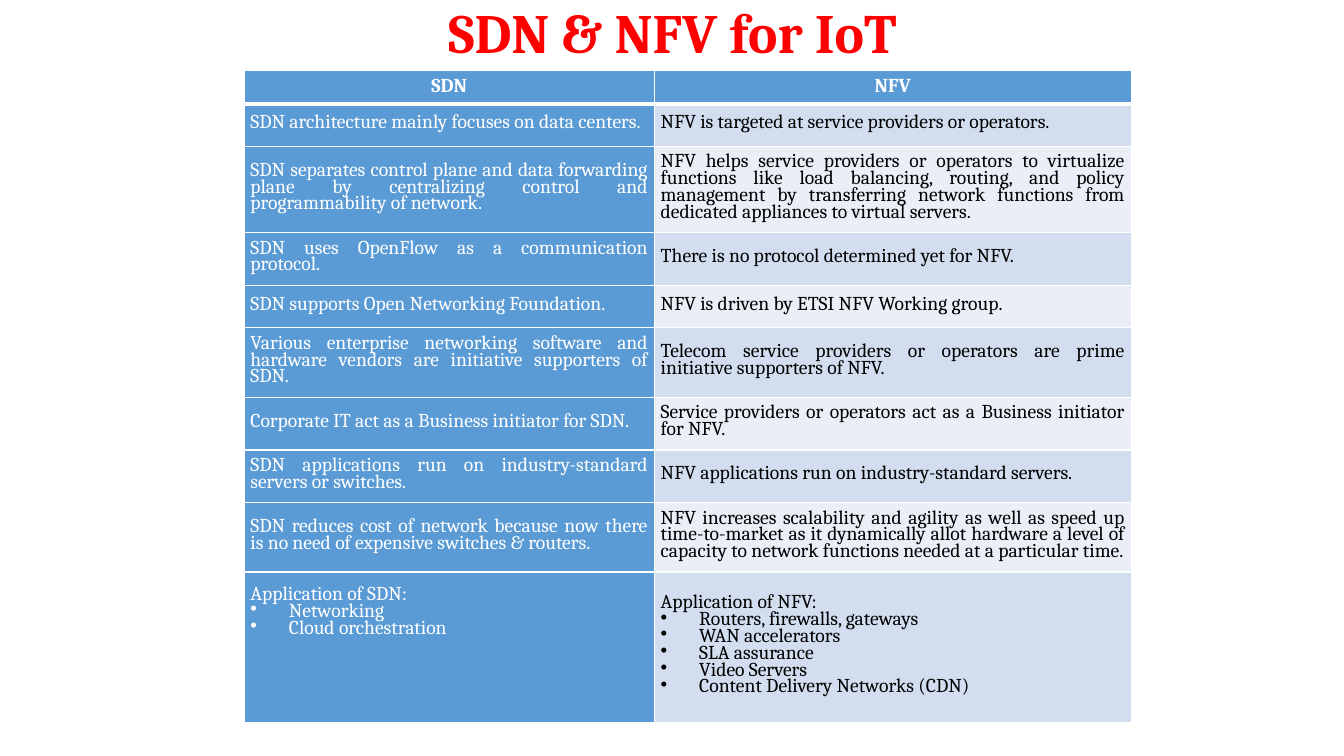
from lxml.etree import SubElement
from pptx import Presentation
from pptx.dml.color import RGBColor
from pptx.enum.text import MSO_ANCHOR as Anchor, PP_ALIGN as Align
from pptx.oxml.ns import qn
from pptx.util import Cm, Pt

TITLE = "SDN & NFV for IoT"
HEADER = ("SDN", "NFV")
# Row height in cm, then the two statements
COMPARISON = [
    (1.07, "SDN architecture mainly focuses on data centers.",
     "NFV is targeted at service providers or operators."),
    (2.14, "SDN separates control plane and data forwarding plane by centralizing "
     "control and programmability of network.",
     "NFV helps service providers or operators to virtualize functions like load "
     "balancing, routing, and policy management by transferring network functions "
     "from dedicated appliances to virtual servers."),
    (1.31, "SDN uses OpenFlow as a communication protocol.",
     "There is no protocol determined yet for NFV."),
    (1.07, "SDN supports Open Networking Foundation.",
     "NFV is driven by ETSI NFV Working group."),
    (1.73, "Various enterprise networking software and hardware vendors are "
     "initiative supporters of SDN.",
     "Telecom service providers or operators are prime initiative supporters of NFV."),
    (1.31, "Corporate IT act as a Business initiator for SDN.",
     "Service providers or operators act as a Business initiator for NFV."),
    (1.31, "SDN applications run on industry-standard servers or switches.",
     "NFV applications run on industry-standard servers."),
    (1.73, "SDN reduces cost of network because now there is no need of expensive "
     "switches & routers.",
     "NFV increases scalability and agility as well as speed up time-to-market as it "
     "dynamically allot hardware a level of capacity to network functions needed at "
     "a particular time."),
]
APPLICATIONS = [
    ("Application of SDN:", ["Networking", "Cloud orchestration"]),
    ("Application of NFV:", ["Routers, firewalls, gateways", "WAN accelerators",
                             "SLA assurance", "Video Servers",
                             "Content Delivery Networks (CDN)"]),
]
HEADER_HEIGHT, APPLICATIONS_HEIGHT = 0.84, 3.8
COLUMN_WIDTHS = (10.34, 12.02)

FONT = "Cambria"
RED = RGBColor(0xFF, 0x00, 0x00)
WHITE = RGBColor(0xFF, 0xFF, 0xFF)
BLACK = RGBColor(0x00, 0x00, 0x00)
BLUE = RGBColor(0x5B, 0x9B, 0xD5)
BANDS = (RGBColor(0xD2, 0xDE, 0xEF), RGBColor(0xEA, 0xEF, 0xF7))


def write(para, text, color, size=14, bold=False, align=None, spacing=Pt(12)):
    para.alignment = align
    para.line_spacing = spacing
    span = para.add_run()
    span.text = text
    font = span.font
    font.name, font.size, font.bold = FONT, Pt(size), bold
    font.color.rgb = color


def add_bullet(para):
    props = para._p.get_or_add_pPr()
    props.set("marL", str(Cm(0.97)))
    props.set("indent", str(-Cm(0.97)))
    SubElement(props, qn("a:buChar"), char="•")
    tabs = SubElement(props, qn("a:tabLst"))
    SubElement(tabs, qn("a:tab"), pos=str(Cm(1.27)), algn="l")


def style_cell(cell, fill, top=1, bottom=1, side=0.16, vertical=0.24,
               anchor=Anchor.MIDDLE):
    """Set white borders (widths in points), fill, margins (cm) and anchor."""
    props = cell._tc.get_or_add_tcPr()
    for edge, width in (("L", 1), ("R", 1), ("T", top), ("B", bottom)):
        line = SubElement(props, qn(f"a:ln{edge}"), w=str(Pt(width)))
        paint = SubElement(line, qn("a:solidFill"))
        SubElement(paint, qn("a:srgbClr"), val=str(WHITE))
    cell.fill.solid()
    cell.fill.fore_color.rgb = fill
    cell.margin_left = cell.margin_right = Cm(side)
    cell.margin_top = cell.margin_bottom = Cm(vertical)
    cell.vertical_anchor = anchor


def main():
    deck = Presentation()
    deck.slide_width, deck.slide_height = Cm(33.87), Cm(19.05)
    page = deck.slides.add_slide(deck.slide_layouts[6])

    box = page.shapes.add_textbox(Cm(2.84), Cm(0), Cm(28.22), Cm(1.78))
    frame = box.text_frame
    frame.word_wrap = True
    frame.vertical_anchor = Anchor.MIDDLE
    write(frame.paragraphs[0], TITLE, RED, size=39.6, bold=True,
          align=Align.CENTER, spacing=0.9)

    heights = [HEADER_HEIGHT, *(row[0] for row in COMPARISON), APPLICATIONS_HEIGHT]
    table = page.shapes.add_table(
        len(heights), len(HEADER), Cm(6.15), Cm(1.78),
        Cm(sum(COLUMN_WIDTHS)), Cm(sum(heights))).table
    for row, height in zip(table.rows, heights):
        row.height = Cm(height)

    last = len(heights) - 1
    for col, width in enumerate(COLUMN_WIDTHS):
        table.columns[col].width = Cm(width)
        color = BLACK if col else WHITE

        cell = table.cell(0, col)
        style_cell(cell, BLUE, bottom=3, side=0.16 if col else 0.08,
                   vertical=0.16, anchor=Anchor.BOTTOM)
        write(cell.text_frame.paragraphs[0], HEADER[col], WHITE, bold=True,
              align=Align.CENTER)

        for index, (_, *statements) in enumerate(COMPARISON):
            cell = table.cell(index + 1, col)
            style_cell(cell, BANDS[index % 2] if col else BLUE,
                       top=1 if index else 3)
            write(cell.text_frame.paragraphs[0], statements[col], color,
                  align=Align.JUSTIFY)

        cell = table.cell(last, col)
        if col:
            style_cell(cell, BANDS[0])
        else:
            style_cell(cell, BLUE, vertical=0.42, anchor=Anchor.TOP)
        heading, items = APPLICATIONS[col]
        write(cell.text_frame.paragraphs[0], heading, color)
        for item in items:
            para = cell.text_frame.add_paragraph()
            add_bullet(para)
            write(para, item, color)

    deck.save("out.pptx")


if __name__ == "__main__":
    main()
